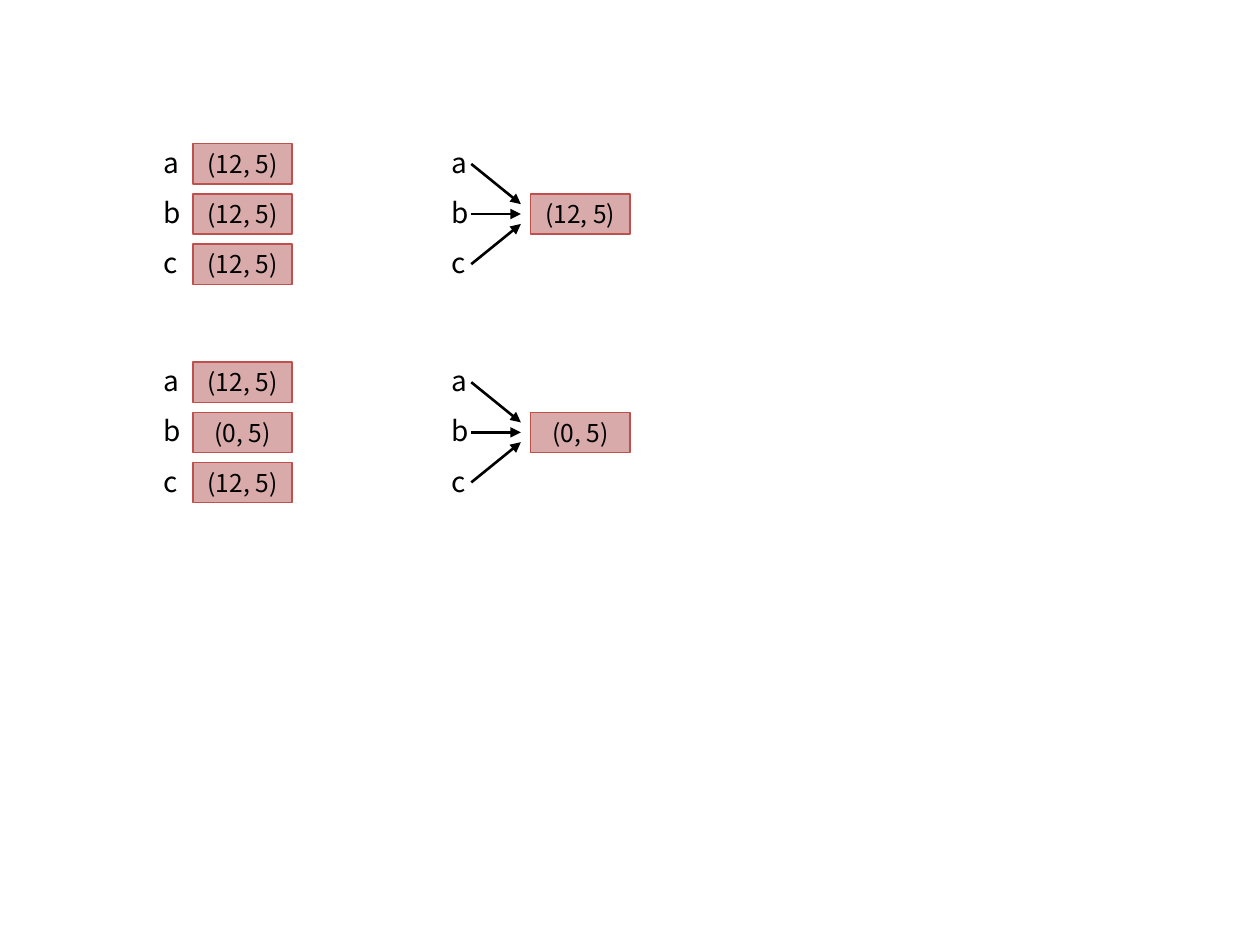
from pptx import Presentation
from pptx.dml.color import RGBColor
from pptx.enum.shapes import MSO_CONNECTOR, MSO_SHAPE
from pptx.enum.text import MSO_ANCHOR, MSO_AUTO_SIZE as AutoSize, PP_ALIGN
from pptx.oxml.ns import qn
from pptx.util import Cm, Pt
from lxml.etree import SubElement

COLORS = {"ink": "000000", "value": "D9AAAA", "border": "C0504D"}
FONT = "Noto Sans CJK JP"
VARIABLES = ["a", "b", "c"]
STATES = [
    {"top": 2.9, "copies": ["(12, 5)", "(12, 5)", "(12, 5)"], "shared": "(12, 5)"},
    {"top": 7.3, "copies": ["(12, 5)", "(0, 5)", "(12, 5)"], "shared": "(0, 5)"},
]
ROW_STEP = 1.01
VALUE_HEIGHT = 0.81
TIP_STEP = 0.2


def color(name):
    return RGBColor.from_string(COLORS[name])


def add_text_shape(left, top, width, height, text, size, is_value):
    """Add a bordered value cell or a plain variable label; lengths in cm."""
    place = Cm(left), Cm(top), Cm(width), Cm(height)
    if is_value:
        shape = slide.shapes.add_shape(MSO_SHAPE.RECTANGLE, *place)
        shape.shadow.inherit = False
        shape.fill.solid()
        shape.fill.fore_color.rgb = color("value")
        shape.line.color.rgb = color("border")
        shape.line.width = Pt(0.75)
    else:
        shape = slide.shapes.add_textbox(*place)
    margin = Cm(0.1 if is_value else 0)
    frame_format = {
        "margin_left": margin, "margin_top": margin,
        "margin_right": margin, "margin_bottom": margin,
        "word_wrap": is_value,
        "auto_size": AutoSize.NONE if is_value else AutoSize.SHAPE_TO_FIT_TEXT,
        "vertical_anchor": MSO_ANCHOR.MIDDLE,
    }
    for name, setting in frame_format.items():
        setattr(shape.text_frame, name, setting)
    paragraph = shape.text_frame.paragraphs[0]
    paragraph.alignment = PP_ALIGN.CENTER if is_value else PP_ALIGN.LEFT
    run = paragraph.add_run()
    run.text = text
    for name, setting in {"name": FONT, "size": Pt(size)}.items():
        setattr(run.font, name, setting)
    run.font.color.rgb = color("ink")


prs = Presentation()
prs.slide_width, prs.slide_height = Cm(25.4), Cm(19.05)
slide = prs.slides.add_slide(prs.slide_layouts[6])

for state in STATES:
    # Each variable holds its own copy on the left, a reference on the right.
    shared_top = state["top"] + ROW_STEP
    shared_middle = shared_top + VALUE_HEIGHT / 2
    for row, (variable, copied) in enumerate(zip(VARIABLES, state["copies"])):
        top = state["top"] + row * ROW_STEP
        for label_left in (3.3, 9.1):
            add_text_shape(label_left, top + 0.03, 0.28, 0.69, variable, 16, False)
        add_text_shape(3.89, top, 2, VALUE_HEIGHT, copied, 14, True)

        reference = slide.shapes.add_connector(
            MSO_CONNECTOR.STRAIGHT,
            Cm(9.5), Cm(shared_middle + (row - 1) * ROW_STEP),
            Cm(10.5), Cm(shared_middle + (row - 1) * TIP_STEP))
        reference.line.color.rgb = color("ink")
        reference.line.width = Pt(1.5)
        SubElement(reference.line._get_or_add_ln(), qn("a:tailEnd"), type="triangle")
        SubElement(reference._element.spPr, qn("a:effectLst"))
    add_text_shape(10.7, shared_top, 2, VALUE_HEIGHT, state["shared"], 14, True)

prs.save("out.pptx")
